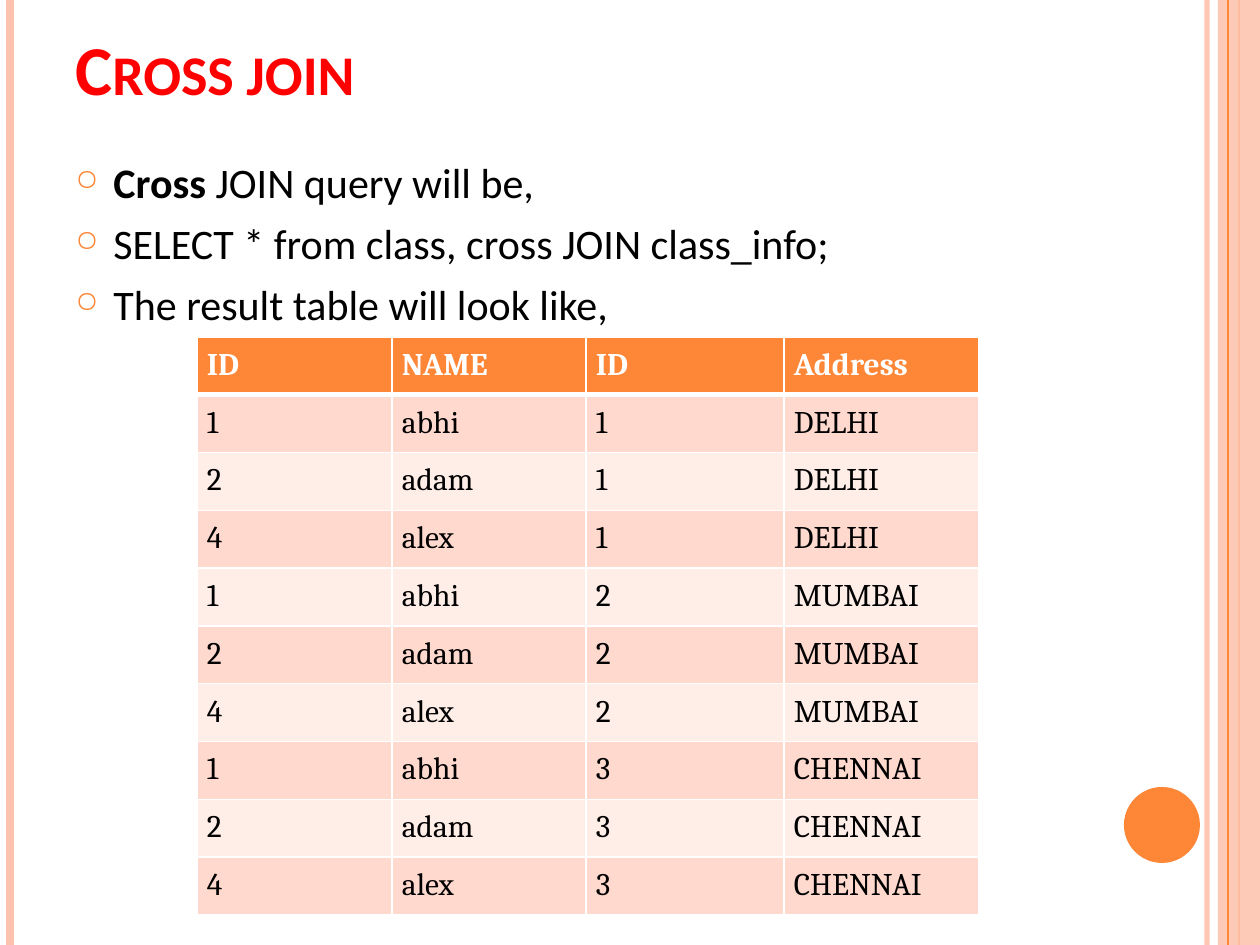
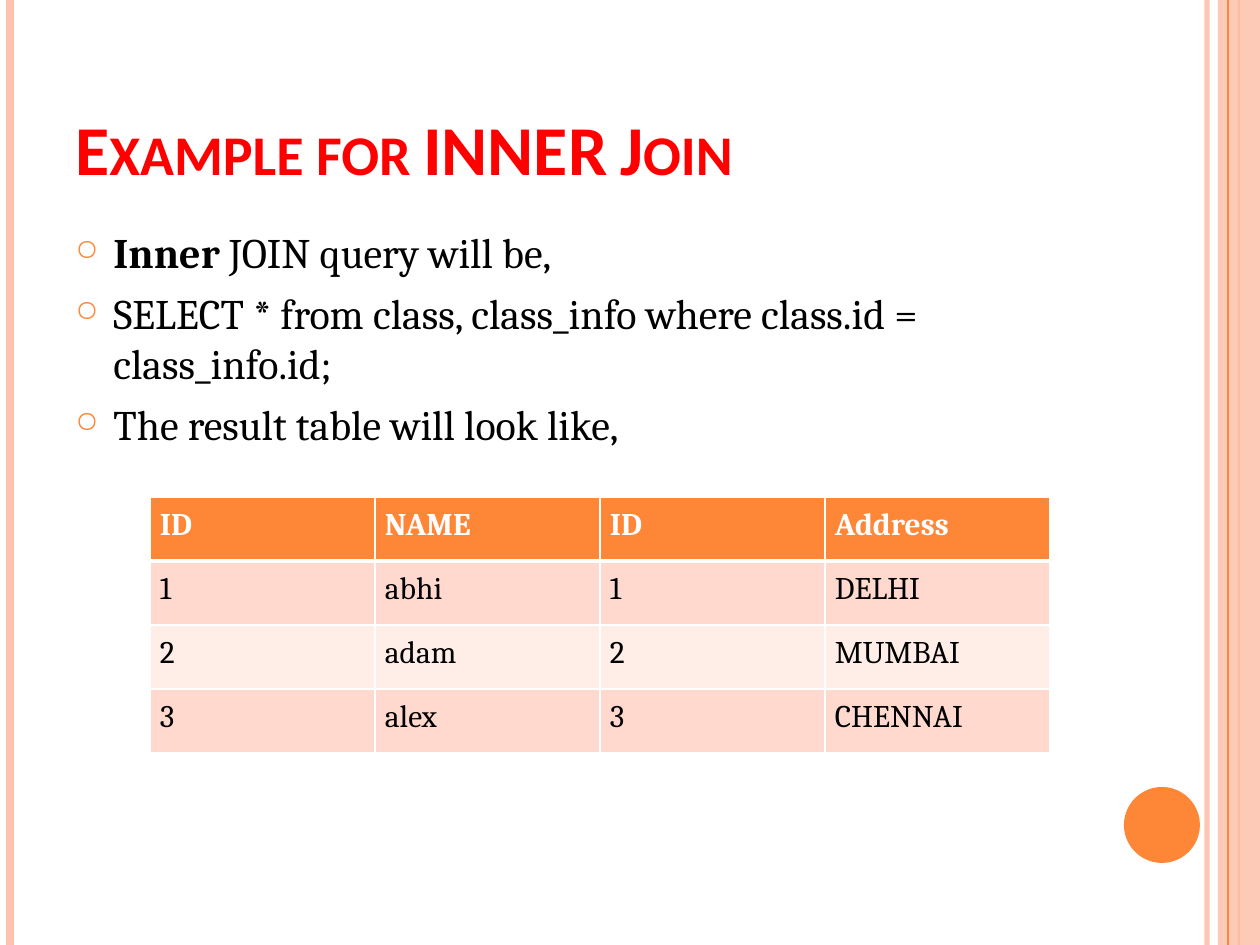
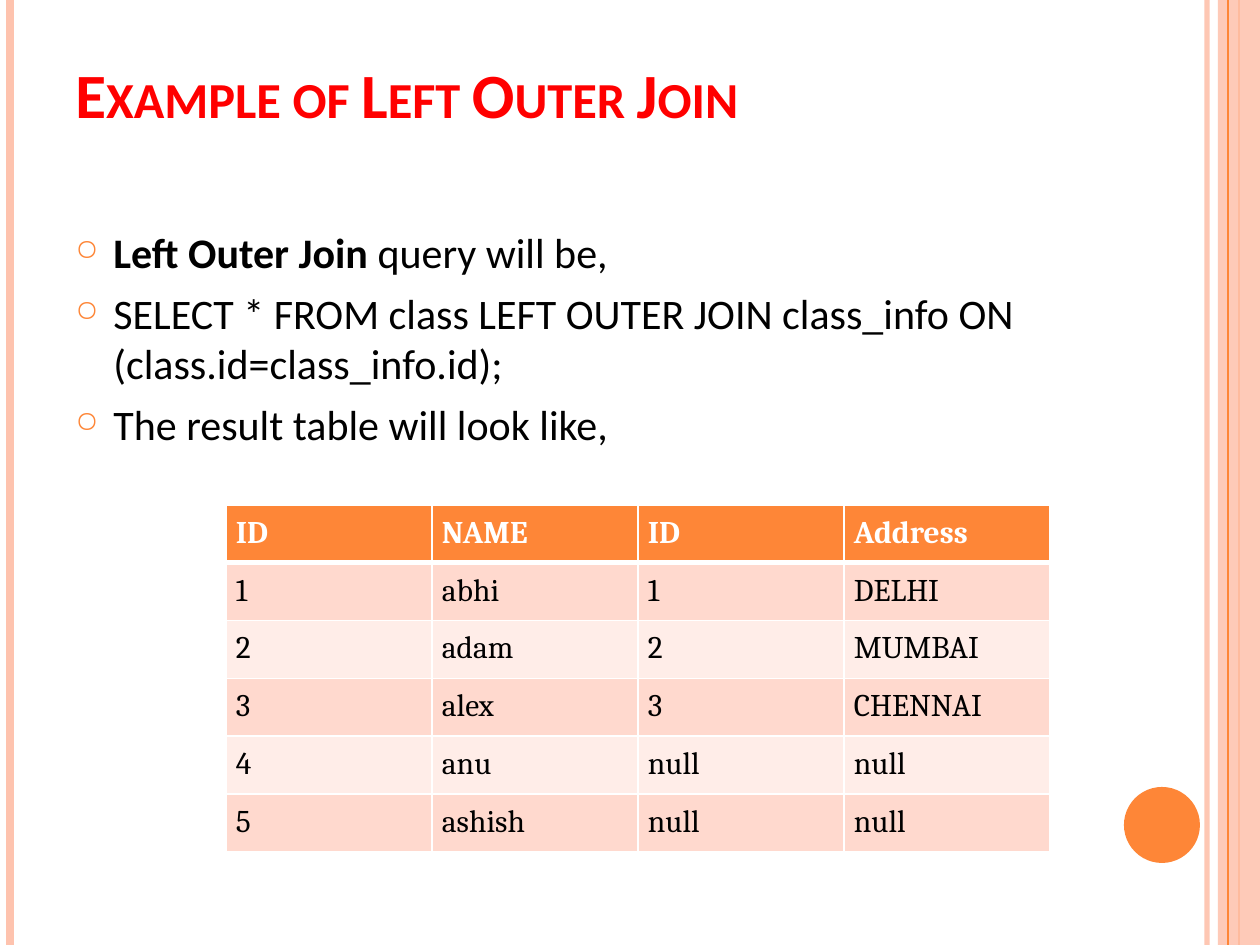
from itertools import product

from lxml.etree import SubElement
from pptx import Presentation
from pptx.dml.color import RGBColor
from pptx.enum.shapes import MSO_CONNECTOR, MSO_SHAPE
from pptx.enum.text import MSO_ANCHOR
from pptx.oxml.ns import qn
from pptx.util import Emu, Pt

ORANGE, PEACH, RED = "FE8637", "FEC3AE", "FF0000"
BLACK, WHITE = "000000", "FFFFFF"
BANDS = ["FFEDE8", "FFD9CE"]
W, H = 1260, 945


def px(n):
    return Emu(round(n * 914400 / 126))


def rgb(color, hex_str):
    color.rgb = RGBColor.from_string(hex_str)


RULES = [
    (1207, PEACH, 3, 93),
    (10, PEACH, 4.5, 100),
    (1239, ORANGE, 1.5, 100),
    (1228, ORANGE, 0.75, 100),
]
FURNITURE = [
    (MSO_SHAPE.RECTANGLE, (1218, 0, 42, H), PEACH, 87),
    (MSO_SHAPE.OVAL, (1124, 787, 76, 76), ORANGE, 100),
]
HEADER = ("ID", "NAME", "ID", "Address")
CITIES = [("1", "DELHI"), ("2", "MUMBAI"), ("3", "CHENNAI")]
NAMES = [("1", "abhi"), ("2", "adam"), ("4", "alex")]
MATCHED = [
    ("1", "abhi", "1", "DELHI"),
    ("2", "adam", "2", "MUMBAI"),
    ("3", "alex", "3", "CHENNAI"),
]
RESULT = "The result table will look like,"

SLIDES = [
    {
        "title": "Cross join", "title_size": 40, "title_h": 78, "title_inset": 6,
        "body_top": 150, "body_h": 795, "font": "Calibri",
        "lead": ("Cross", "\u00a0JOIN query will be,"),
        "query": "SELECT * from class, cross JOIN class_info;",
        "at": (197, 337), "cols": (195, 194, 198, 195), "row_h": 57,
        "rows": [name + city for city, name in product(CITIES, NAMES)],
    },
    {
        "title": "Example for INNER Join", "title_size": 40, "title_h": 157, "title_inset": 6,
        "body_top": 220, "body_h": 672, "font": "Cambria",
        "lead": ("Inner", "\u00a0JOIN query will be,"),
        "query": "SELECT * from class, class_info where class.id = class_info.id;",
        "at": (150, 497), "cols": (225,) * 4, "row_h": 64,
        "rows": MATCHED,
    },
    {
        "title": "Example of Left Outer Join", "title_size": 36, "title_h": 157, "title_inset": 64,
        "body_top": 220, "body_h": 672, "font": "Calibri",
        "lead": ("Left Outer Join", "\u00a0query will be,"),
        "query": "SELECT * FROM class LEFT OUTER JOIN class_info ON (class.id=class_info.id);",
        "at": (226, 505), "cols": (206,) * 4, "row_h": 57,
        "rows": MATCHED + [("4", "anu", "null", "null"), ("5", "ashish", "null", "null")],
    },
]

prs = Presentation()
prs.slide_width, prs.slide_height = px(W), px(H)

for d in SLIDES:
    s = prs.slides.add_slide(prs.slide_layouts[6])
    s.background.fill.solid()
    rgb(s.background.fill.fore_color, WHITE)

    decor = []
    for x, color, width, alpha in RULES[:3]:
        decor.append(("rule", x, color, width, alpha))
    decor.append(("shape", *FURNITURE[0]))
    decor.append(("rule", *RULES[3]))
    decor.append(("shape", *FURNITURE[1]))
    for kind, *spec in decor:
        if kind == "rule":
            x, color, width, alpha = spec
            sp = s.shapes.add_connector(MSO_CONNECTOR.STRAIGHT, px(x), 0, px(x), px(H))
            sp.line.width = Pt(width)
            rgb(sp.line.color, color)
            SubElement(sp._element.spPr, qn("a:effectLst"))
        else:
            preset, box, color, alpha = spec
            sp = s.shapes.add_shape(preset, *map(px, box))
            sp.shadow.inherit = False
            sp.fill.solid()
            rgb(sp.fill.fore_color, color)
            sp.line.fill.background()
        if alpha < 100:
            clr = sp._element.spPr.find(".//" + qn("a:srgbClr"))
            SubElement(clr, qn("a:alpha")).set("val", str(alpha * 1000))

    tf = s.shapes.add_textbox(px(63), px(38), px(1029), px(d["title_h"])).text_frame
    fmt = {"word_wrap": True, "vertical_anchor": MSO_ANCHOR.BOTTOM, "margin_bottom": px(d["title_inset"])}
    for key, value in fmt.items():
        setattr(tf, key, value)
    r = tf.paragraphs[0].add_run()
    r.text = d["title"]
    for key, value in {"name": "Calibri", "size": Pt(d["title_size"]), "bold": True}.items():
        setattr(r.font, key, value)
    rgb(r.font.color, RED)
    r.font._element.set("cap", "small")

    tf = s.shapes.add_textbox(px(63), px(d["body_top"]), px(1029), px(d["body_h"])).text_frame
    tf.word_wrap = True
    lead, rest = d["lead"]
    lines = [[(lead, True), (rest, False)], [(d["query"], False)], [(RESULT, False)]]
    for i, runs in enumerate(lines):
        p = tf.add_paragraph() if i else tf.paragraphs[0]
        p.space_before = Pt(6)
        pPr = p._p.get_or_add_pPr()
        pPr.set("marL", str(px(38)))
        pPr.set("indent", str(-px(38)))
        SubElement(SubElement(pPr, qn("a:buClr")), qn("a:srgbClr")).set("val", ORANGE)
        SubElement(pPr, qn("a:buSzPct")).set("val", "70000")
        SubElement(pPr, qn("a:buChar")).set("char", "\u25cb")
        for text, bold in runs:
            r = p.add_run()
            r.text = text
            for key, value in {"name": d["font"], "size": Pt(24), "bold": bold}.items():
                setattr(r.font, key, value)
            rgb(r.font.color, BLACK)

    rows = [HEADER] + d["rows"]
    left, top = d["at"]
    tbl = s.shapes.add_table(
        len(rows), len(HEADER), px(left), px(top), px(sum(d["cols"])), px(d["row_h"] * len(rows))
    ).table
    for col, width in zip(tbl.columns, d["cols"]):
        col.width = px(width)
    for i, row in enumerate(rows):
        tbl.rows[i].height = px(d["row_h"])
        for j, text in enumerate(row):
            cell = tbl.cell(i, j)
            for side in ("left", "right", "top", "bottom"):
                setattr(cell, f"margin_{side}", px(10))
            r = cell.text_frame.paragraphs[0].add_run()
            r.text = text
            for key, value in {"name": "Cambria", "size": Pt(18), "bold": i == 0}.items():
                setattr(r.font, key, value)
            rgb(r.font.color, BLACK if i else WHITE)
            tcPr = cell._tc.get_or_add_tcPr()
            for side in "LRTB":
                ln = SubElement(tcPr, qn(f"a:ln{side}"))
                ln.set("w", str(Pt(3 if i == 0 and side == "B" else 1)))
                SubElement(SubElement(ln, qn("a:solidFill")), qn("a:srgbClr")).set("val", WHITE)
            cell.fill.solid()
            rgb(cell.fill.fore_color, BANDS[i % 2] if i else ORANGE)

prs.save("out.pptx")
